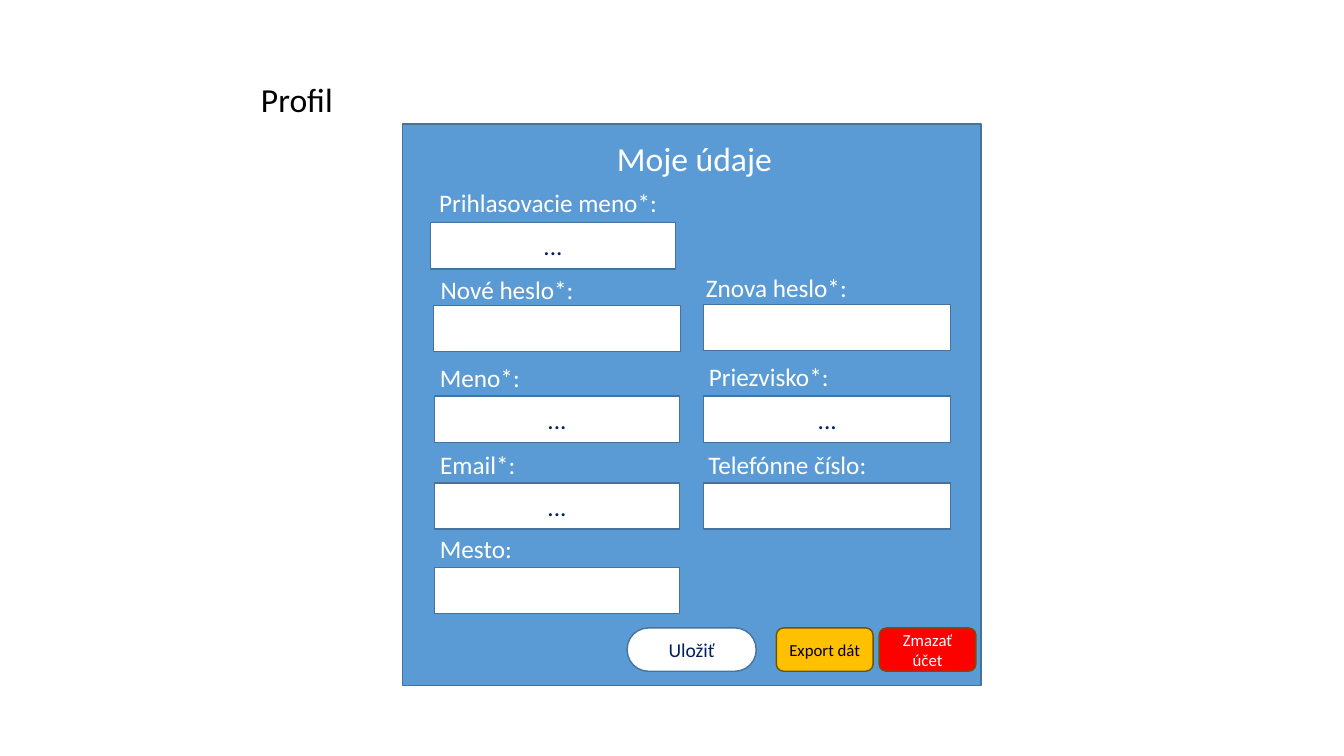
"""Build the profile form slide."""
from pptx import Presentation
from pptx import util as u
from pptx.dml import color
from pptx.enum import shapes, text

WHITE = "FFFFFF"
BLACK = "000000"
NAVY = "002060"
BLUE = "5B9BD5"
BLUE_EDGE = "43739E"
BROWN_EDGE = "705400"
FIELD_HEIGHT = 0.46
LABEL_HEIGHT = 0.4

FIELDS = [
    ("Prihlasovacie meno*:", (4.24, 1.81, 2.39), (4.27, 2.21, 2.43), "..."),
    ("Nové heslo*:", (4.26, 2.67, 1.54), (4.3, 3.03, 2.45), ""),
    ("Znova heslo*:", (6.89, 2.65, 1.62), (6.98, 3.02, 2.45), ""),
    ("Meno*:", (4.26, 3.55, 1), (4.31, 3.93, 2.43), "..."),
    ("Priezvisko*:", (6.81, 3.54, 1.63), (6.98, 3.93, 2.45), "..."),
    ("Email*:", (4.26, 4.41, 0.96), (4.31, 4.79, 2.43), "..."),
    ("Telefónne číslo:", (6.79, 4.41, 2.04), (6.98, 4.79, 2.45), ""),
    ("Mesto:", (4.26, 5.24, 0.92), (4.31, 5.63, 2.43), ""),
]


def rgb(value):
    """Turn a hex string into a colour."""
    return color.RGBColor.from_string(value)


def write(box, words, size, ink, align):
    """Put one formatted paragraph into a box."""
    box.text_frame.text = words
    para = box.text_frame.paragraphs[0]
    para.alignment = align
    for span in para.runs:
        span.font.name = "Calibri"
        span.font.size = u.Pt(size)
        span.font.color.rgb = rgb(ink)


def add_label(page, place, words, size, ink, align=text.PP_ALIGN.CENTER):
    """Add a one-line text box that fits its text."""
    box = page.shapes.add_textbox(*map(u.Inches, place))
    box.text_frame.word_wrap = False
    box.text_frame.auto_size = text.MSO_AUTO_SIZE.SHAPE_TO_FIT_TEXT
    write(box, words, size, ink, align)


def add_panel(page, place, fill, edge, kind=shapes.MSO_SHAPE.RECTANGLE):
    """Add a flat outlined shape."""
    panel = page.shapes.add_shape(kind, *map(u.Inches, place))
    panel.shadow.inherit = False
    panel.fill.solid()
    panel.fill.fore_color.rgb = rgb(fill)
    panel.line.color.rgb = rgb(edge)
    panel.line.width = u.Pt(1)
    panel.text_frame.vertical_anchor = text.MSO_ANCHOR.MIDDLE
    return panel


def add_field(page, name, label_place, input_place, value):
    """Add a form field: a label and its input."""
    add_label(page, (*label_place, LABEL_HEIGHT), name, 18, WHITE)
    entry = add_panel(page, (*input_place, FIELD_HEIGHT), WHITE, BLUE_EDGE)
    if value:
        write(entry, value, 18, NAVY, text.PP_ALIGN.CENTER)


def add_button(page, left, width, words, size, ink, fill, edge, rounding=0.167):
    """Add a rounded button to the bottom row."""
    button = add_panel(page, (left, 6.23, width, 0.43), fill, edge,
                       shapes.MSO_SHAPE.ROUNDED_RECTANGLE)
    button.adjustments[0] = rounding
    write(button, words, size, ink, text.PP_ALIGN.CENTER)


def main():
    """Build and save the deck."""
    deck = Presentation()
    deck.slide_width = u.Inches(13.33)
    deck.slide_height = u.Inches(7.5)
    page = deck.slides.add_slide(deck.slide_layouts[6])

    add_label(page, (2.49, 0.73, 0.92, 0.5), "Profil", 24, BLACK, text.PP_ALIGN.LEFT)
    add_panel(page, (3.99, 1.23, 5.74, 5.57), BLUE, BLUE_EDGE)
    add_label(page, (6.02, 1.32, 1.76, 0.5), "Moje údaje", 24, WHITE, text.PP_ALIGN.LEFT)
    for field in FIELDS:
        add_field(page, *field)
    add_button(page, 6.22, 1.28, "Uložiť", 14, NAVY, WHITE, BLUE_EDGE, 0.49)
    add_button(page, 7.7, 0.96, "Export dát", 12, BLACK, "FFC000", BROWN_EDGE)
    add_button(page, 8.72, 0.96, "Zmazať účet", 12, WHITE, "FF0000", BROWN_EDGE)
    deck.save("out.pptx")


if __name__ == "__main__":
    main()
